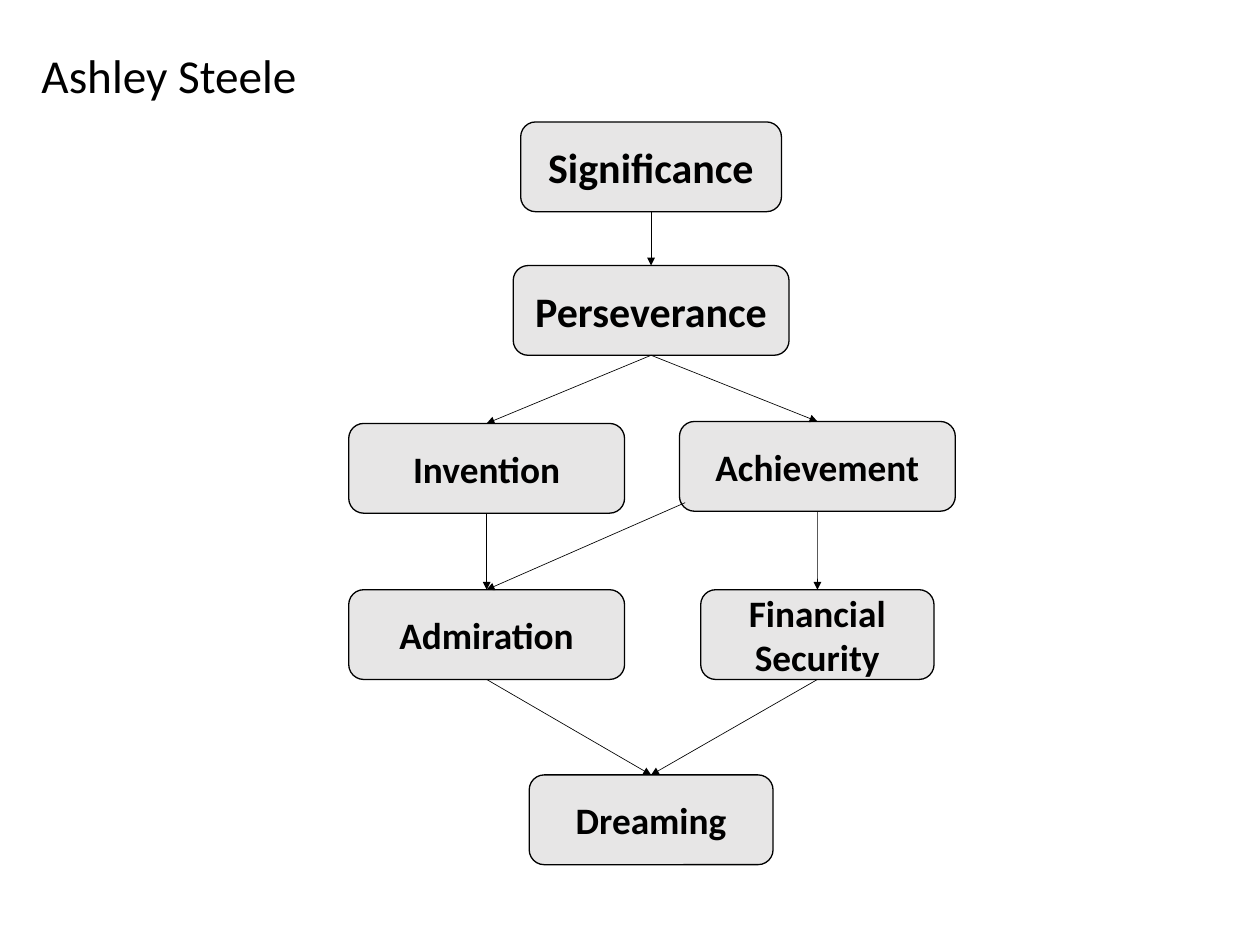
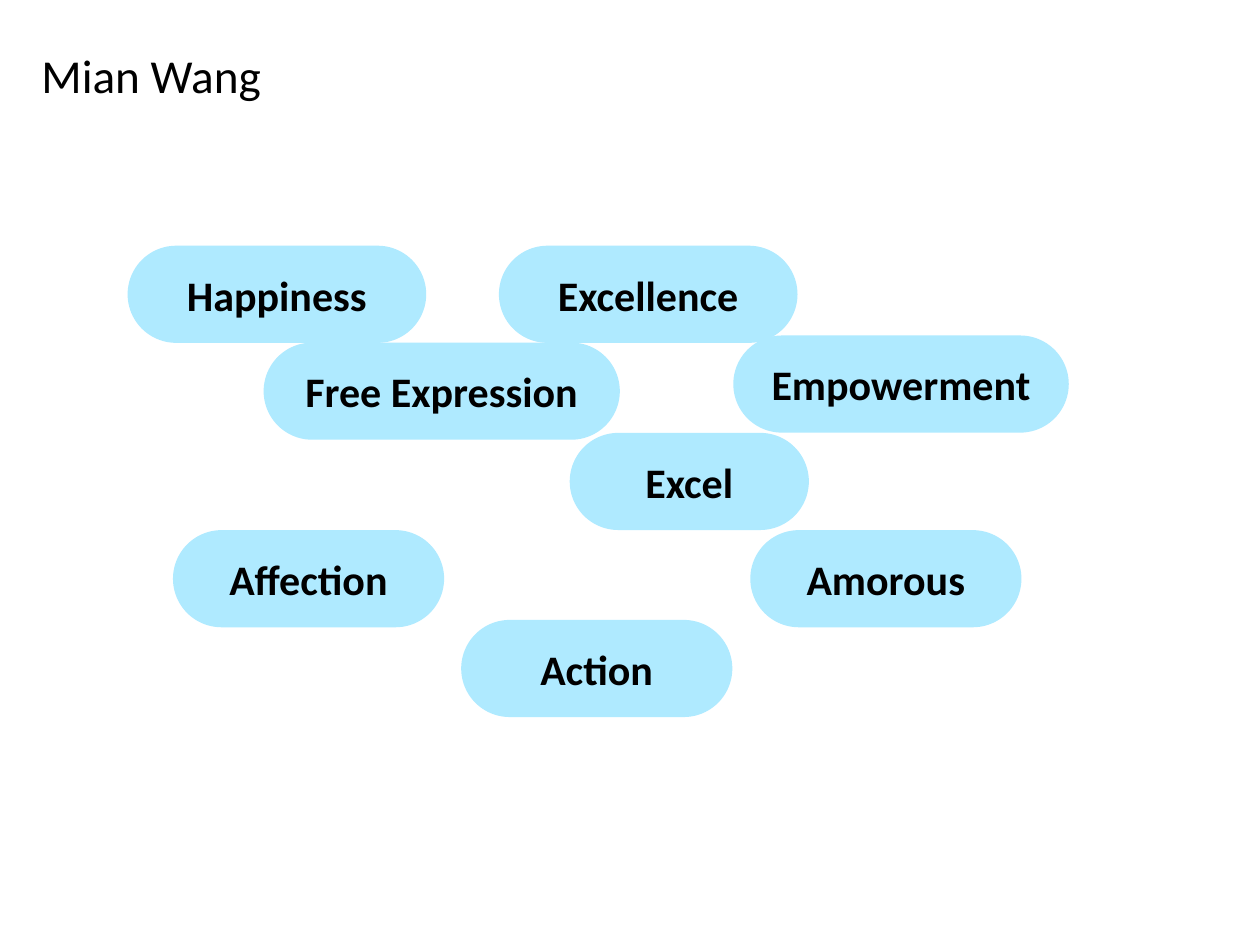
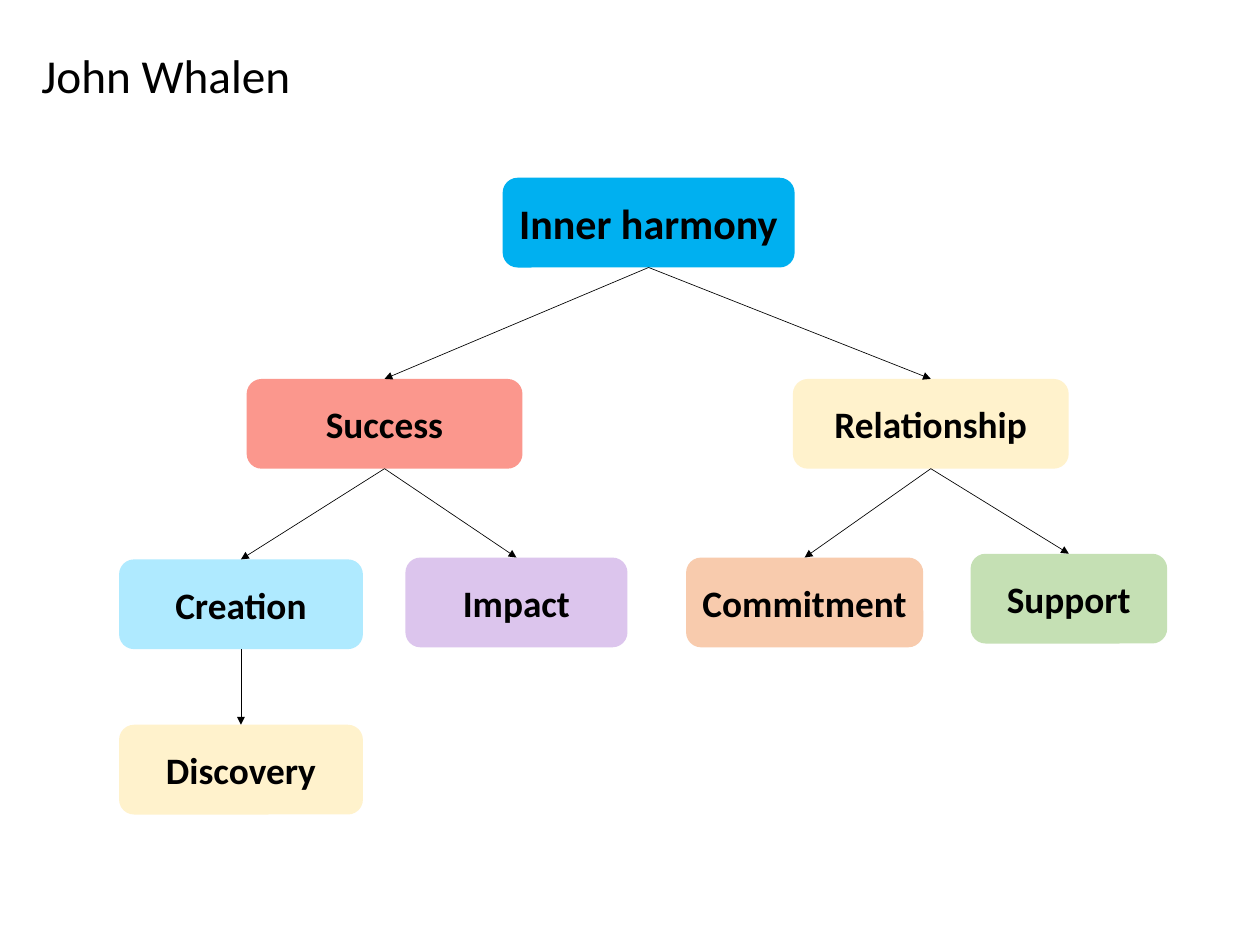
from dataclasses import dataclass

from lxml import etree
from pptx import Presentation
from pptx import util as u
from pptx.dml.color import RGBColor
from pptx.enum import shapes, text
from pptx.oxml import ns

BLACK = RGBColor(0x00, 0x00, 0x00)
GREY = RGBColor(0xE7, 0xE6, 0xE6)
SKY = RGBColor(0xAF, 0xEA, 0xFF)
BLUE = RGBColor(0x00, 0xB0, 0xF0)
RED = RGBColor(0xFB, 0x97, 0x8D)
PEACH = RGBColor(0xF8, 0xCB, 0xAD)
LILAC = RGBColor(0xDC, 0xC5, 0xED)
CREAM = RGBColor(0xFF, 0xF2, 0xCC)
GREEN = RGBColor(0xC5, 0xE0, 0xB4)

FONT = "Calibri"
BIG = 32
SMALL = 28.4
WIDE = 210.2
MID = 185.8
PILL = 206.6


@dataclass(frozen=True)
class Node:
    label: str
    center: float
    top: float
    width: float
    fill: RGBColor
    size: float = SMALL


@dataclass(frozen=True)
class Style:
    height: float
    curve: float
    edge: bool = False


@dataclass(frozen=True)
class Link:
    start: str
    end: str
    point: tuple[float, float] | None = None


@dataclass(frozen=True)
class Page:
    title: str
    style: Style
    nodes: list[Node]
    links: list[Link]


PAGES = [
    Page(
        "Ashley Steele",
        Style(68.4, 0.1667, edge=True),
        [
            Node("Significance", 496.1, 92.9, 198.7, GREY, BIG),
            Node("Perseverance", 496.1, 202.3, WIDE, GREY, BIG),
            Node("Invention", 370.8, 322.6, WIDE, GREY),
            Node("Achievement", 622.8, 321.1, WIDE, GREY),
            Node("Admiration", 370.8, 449.3, WIDE, GREY),
            Node("Financial Security", 622.8, 449.3, 177.8, GREY),
            Node("Dreaming", 496.1, 590.4, MID, GREY),
        ],
        [
            Link("Significance", "Perseverance"),
            Link("Perseverance", "Invention"),
            Link("Perseverance", "Achievement"),
            Link("Invention", "Admiration"),
            Link("Achievement", "Admiration", (522, 383)),
            Link("Achievement", "Financial Security"),
            Link("Admiration", "Dreaming"),
            Link("Financial Security", "Dreaming"),
        ],
    ),
    Page(
        "Mian Wang",
        Style(74, 0.5),
        [
            Node("Happiness", 211, 187.2, 227.5, SKY, BIG),
            Node("Excellence", 493.9, 187.2, 227.5, SKY, BIG),
            Node("Free Expression", 336.6, 261, 271.4, SKY, BIG),
            Node("Empowerment", 686.5, 255.6, 255.6, SKY, BIG),
            Node("Excel", 525.2, 329.8, 182.2, SKY, BIG),
            Node("Affection", 235.1, 403.9, PILL, SKY, BIG),
            Node("Amorous", 675, 403.9, PILL, SKY, BIG),
            Node("Action", 454.7, 472.3, PILL, SKY, BIG),
        ],
        [],
    ),
    Page(
        "John Whalen",
        Style(68.4, 0.1667),
        [
            Node("Inner harmony", 494.2, 135.4, 222.5, BLUE, BIG),
            Node("Success", 293, 288.7, WIDE, RED),
            Node("Relationship", 709.2, 288.7, WIDE, CREAM),
            Node("Creation", 183.6, 426.2, MID, SKY),
            Node("Impact", 393.5, 424.8, 169.2, LILAC),
            Node("Commitment", 613.1, 424.8, 180.7, PEACH),
            Node("Support", 814.4, 421.9, 149.8, GREEN),
            Node("Discovery", 183.6, 552.2, MID, CREAM),
        ],
        [
            Link("Inner harmony", "Success"),
            Link("Inner harmony", "Relationship"),
            Link("Success", "Creation"),
            Link("Success", "Impact"),
            Link("Relationship", "Commitment"),
            Link("Relationship", "Support"),
            Link("Creation", "Discovery"),
        ],
    ),
]


def write(shape, words: str, *, size: float, bold: bool = False,
          align=text.PP_ALIGN.LEFT) -> None:
    frame = shape.text_frame
    frame.word_wrap = True
    frame.vertical_anchor = text.MSO_ANCHOR.MIDDLE
    para = frame.paragraphs[0]
    para.alignment = align
    run = para.add_run()
    run.text = words
    run.font.name = FONT
    run.font.size = u.Pt(size)
    run.font.bold = bold
    run.font.color.rgb = BLACK


def draw_title(slide, words: str) -> None:
    box = slide.shapes.add_textbox(u.Pt(24.5), u.Pt(31), u.Pt(754.6), u.Pt(51))
    write(box, words, size=36)


def draw_node(slide, node: Node, style: Style):
    box = slide.shapes.add_shape(
        shapes.MSO_SHAPE.ROUNDED_RECTANGLE,
        u.Pt(node.center - node.width / 2), u.Pt(node.top),
        u.Pt(node.width), u.Pt(style.height))
    box.adjustments[0] = style.curve
    box.shadow.inherit = False
    box.fill.solid()
    box.fill.fore_color.rgb = node.fill
    if style.edge:
        box.line.color.rgb = BLACK
        box.line.width = u.Pt(1)
    else:
        box.line.fill.background()
    write(box, node.label, size=node.size, bold=True,
          align=text.PP_ALIGN.CENTER)
    return box


def draw_link(slide, link: Link, boxes: dict) -> None:
    x, y = link.point or (0, 0)
    line = slide.shapes.add_connector(
        shapes.MSO_CONNECTOR.STRAIGHT, u.Pt(x), u.Pt(y), u.Pt(x), u.Pt(y))
    if link.point is None:
        line.begin_connect(boxes[link.start], 2)
    line.end_connect(boxes[link.end], 0)
    line.line.color.rgb = BLACK
    line.line.width = u.Pt(0.5)
    props = line._element.spPr
    stroke = props.find(ns.qn("a:ln"))
    etree.SubElement(stroke, ns.qn("a:tailEnd"), type="triangle")
    etree.SubElement(props, ns.qn("a:effectLst"))


def draw_page(deck, page: Page) -> None:
    slide = deck.slides.add_slide(deck.slide_layouts[6])
    draw_title(slide, page.title)
    boxes = {node.label: draw_node(slide, node, page.style)
             for node in page.nodes}
    for link in page.links:
        draw_link(slide, link, boxes)


def main() -> None:
    deck = Presentation()
    deck.slide_width = u.Pt(960)
    deck.slide_height = u.Pt(720)
    for page in PAGES:
        draw_page(deck, page)
    deck.save("out.pptx")


if __name__ == "__main__":
    main()
